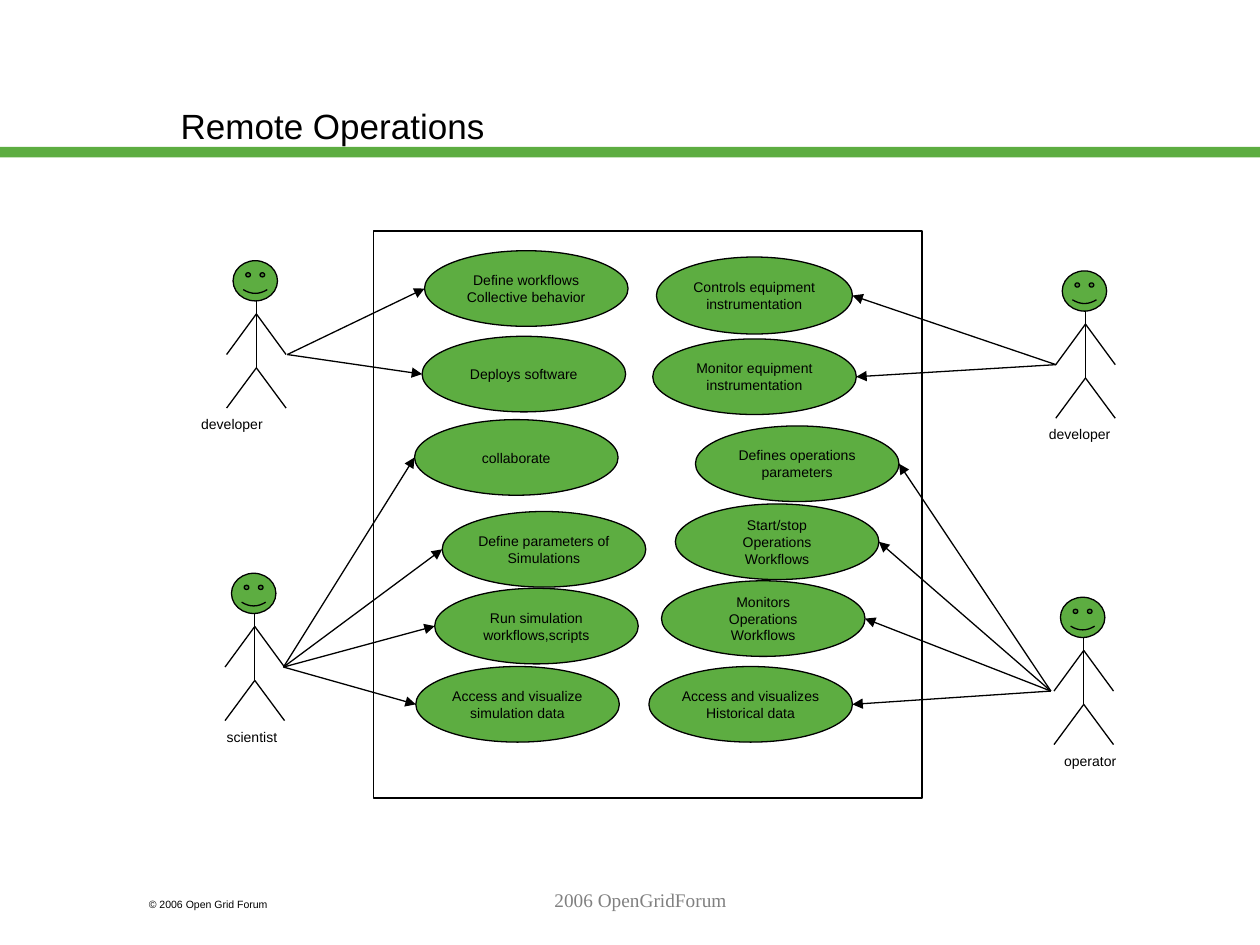
from lxml import etree
from pptx import Presentation
from pptx.dml.color import RGBColor
from pptx.enum import shapes, text
from pptx.oxml import ns
from pptx.util import Pt

GREEN, BLACK, GRAY = "5DAD41", "000000", "808080"


def paint(fill, color):
    fill.solid()
    fill.fore_color.rgb = RGBColor.from_string(color)


def write(shape, words, size=8, font="Arial", color=BLACK, wrap=False,
          align=text.PP_ALIGN.CENTER, anchor=text.MSO_ANCHOR.TOP):
    frame = shape.text_frame
    frame.auto_size = text.MSO_AUTO_SIZE.NONE
    frame.word_wrap = wrap
    frame.vertical_anchor = anchor
    frame.text = words
    for paragraph in frame.paragraphs:
        paragraph.alignment = align
        for run in paragraph.runs:
            run.font.size = Pt(size)
            run.font.name = font
            paint(run.font.fill, color)


prs = Presentation()
prs.slide_width, prs.slide_height = Pt(720), Pt(540)
slide = prs.slides.add_slide(prs.slide_layouts[5])

# Title and the bar under it
bar = slide.shapes.add_shape(shapes.MSO_SHAPE.RECTANGLE, 0, Pt(84), Pt(720), Pt(6))
bar.shadow.inherit = False
paint(bar.fill, GREEN)
bar.line.fill.background()

title = slide.shapes.title
title.left, title.top, title.width, title.height = Pt(96), Pt(18), Pt(624), Pt(108)
write(title, "Remote Operations", size=20, wrap=True,
      align=text.PP_ALIGN.LEFT, anchor=text.MSO_ANCHOR.MIDDLE)

# System boundary
boundary = slide.shapes.add_shape(
    shapes.MSO_SHAPE.RECTANGLE, Pt(213.6), Pt(132), Pt(313.4), Pt(324))
boundary.shadow.inherit = False
boundary.fill.background()
paint(boundary.line.fill, BLACK)
boundary.line.width = Pt(0.75)

# Actors: name, head left, head top, label centre, hand x,
# and the side (0 left, 1 right) and use cases (left, top, width, height, text)
actors = [
    ("developer", 133.2, 149, 132.6, 164.2, 0, [
        (242.6, 143.3, 116.3, 43.2, "Define workflows\nCollective behavior"),
        (241.2, 192.2, 116.3, 43.2, "Deploys software")]),
    ("scientist", 132.3, 327.6, 144, 162, 0, [
        (236.9, 239.8, 116.3, 43.2, "collaborate"),
        (252.7, 292.3, 116.3, 43.2, "Define parameters of\nSimulations"),
        (248.4, 336.2, 116.3, 43.2, "Run simulation\nworkflows,scripts"),
        (237.6, 380.9, 116.3, 43.2, "Access and visualize\nsimulation data")]),
    ("developer", 607, 154.8, 617, 603.4, 1, [
        (375.1, 146.9, 112, 44, "Controls equipment\ninstrumentation"),
        (373, 193.7, 116.3, 43.2, "Monitor equipment\ninstrumentation")]),
    ("operator", 606, 341.3, 623, 600.5, 1, [
        (397.4, 243.4, 116.3, 43.2, "Defines operations\nparameters"),
        (385.9, 288, 116.3, 43.2, "Start/stop\nOperations\nWorkflows"),
        (378, 331.9, 116.3, 43.2, "Monitors\nOperations\nWorkflows"),
        (370.8, 380.9, 116.3, 43.2, "Access and visualizes\nHistorical data")]),
]

for name, left, top, label_x, hand_x, side, use_cases in actors:
    # Head and name
    head = slide.shapes.add_shape(
        shapes.MSO_SHAPE.SMILEY_FACE, Pt(left), Pt(top), Pt(25.4), Pt(23))
    head.adjustments[0] = 0.09
    label = slide.shapes.add_textbox(Pt(label_x - 25), Pt(top + 85), Pt(50), Pt(17))
    write(label, name)
    filled = [head]

    # Limbs and spine
    spine_x, neck, shoulder, hand, hip, foot = (
        left + 13.3, top + 23, top + 30.4, top + 53.6, top + 61.2, top + 84.2)
    strokes = [(spine_x, neck, spine_x, hip, False)]
    for joint, end in ((shoulder, hand), (hip, foot)):
        for reach in (-17, 17):
            strokes.append((spine_x, joint, spine_x + reach, end, False))

    # Use cases, each reached from the actor's hand
    for x, y, width, height, words in use_cases:
        use_case = slide.shapes.add_shape(
            shapes.MSO_SHAPE.OVAL, Pt(x), Pt(y), Pt(width), Pt(height))
        write(use_case, words, anchor=text.MSO_ANCHOR.MIDDLE)
        filled.append(use_case)
        strokes.append((hand_x, hand, x + side * width, y + height / 2, True))

    for shape in filled:
        shape.shadow.inherit = False
        paint(shape.fill, GREEN)
        paint(shape.line.fill, BLACK)
        shape.line.width = Pt(0.75)

    for x1, y1, x2, y2, arrow in strokes:
        stroke = slide.shapes.add_connector(
            shapes.MSO_CONNECTOR.STRAIGHT, Pt(x1), Pt(y1), Pt(x2), Pt(y2))
        paint(stroke.line.fill, BLACK)
        stroke.line.width = Pt(0.75)
        if arrow:
            etree.SubElement(stroke.line._get_or_add_ln(), ns.qn("a:tailEnd"), type="triangle")
        etree.SubElement(stroke._element.spPr, ns.qn("a:effectLst"))

# Footer
copyright_line = slide.shapes.add_textbox(Pt(78), Pt(509.8), Pt(108), Pt(14.4))
write(copyright_line, "© 2006 Open Grid Forum", size=6, wrap=True, align=text.PP_ALIGN.LEFT)
footer = slide.shapes.add_textbox(Pt(156), Pt(504), Pt(420), Pt(36))
write(footer, "2006 OpenGridForum", size=11, font="Times New Roman", color=GRAY, wrap=True)

prs.save("out.pptx")
